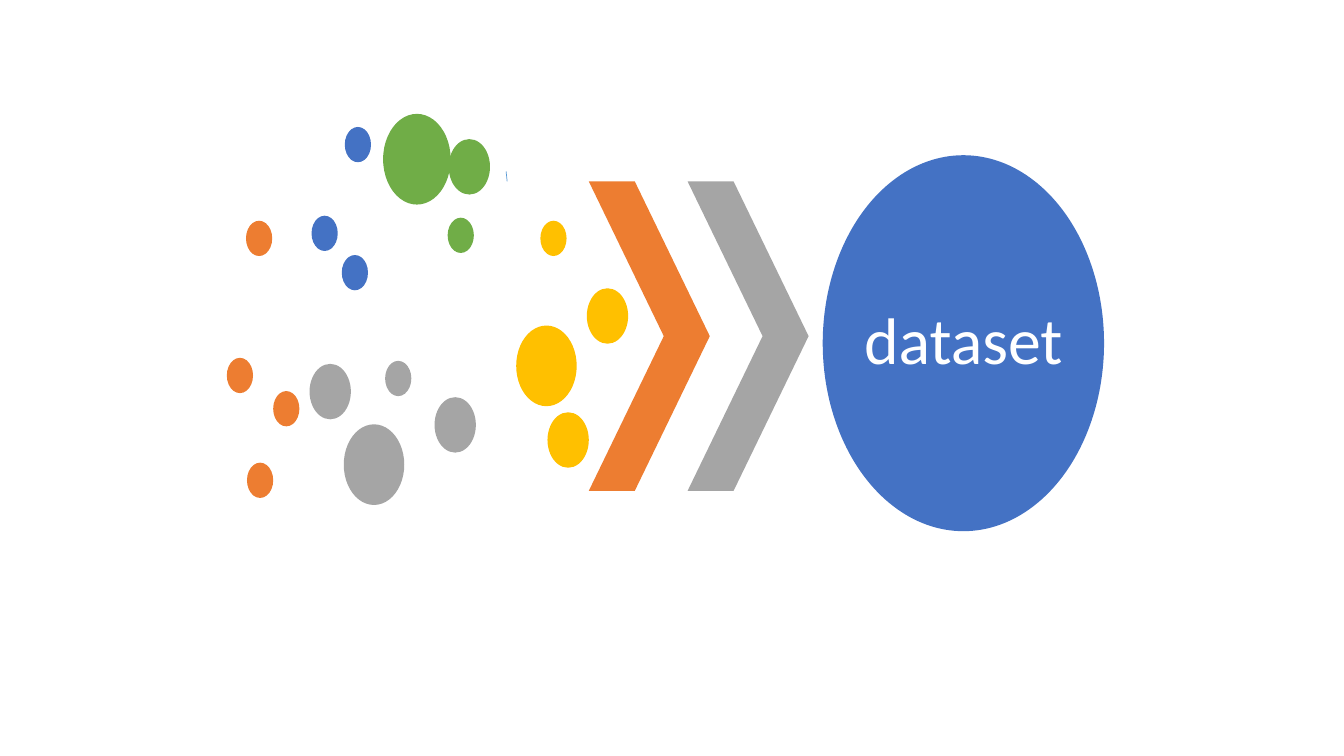
from dataclasses import dataclass

from lxml import etree
from pptx import Presentation
from pptx import util as u
from pptx.dml.color import RGBColor
from pptx.enum import shapes, text
from pptx.oxml import ns


@dataclass(frozen=True)
class Theme:
    orange: str = "ED7D31"
    gray: str = "A5A5A5"
    gold: str = "FFC000"
    blue: str = "4472C4"
    green: str = "70AD47"
    sky: str = "5B9BD5"
    white: str = "FFFFFF"
    font: str = "Calibri"
    label_size: int = 47


theme = Theme()
prs = Presentation()
prs.slide_width, prs.slide_height = u.Inches(13.33), u.Inches(7.5)
slide = prs.slides.add_slide(prs.slide_layouts[6])


def add_filled(preset, left, top, width, height, color):
    shape = slide.shapes.add_shape(preset, *map(u.Inches, (left, top, width, height)))
    shape.shadow.inherit = False
    shape.fill.solid()
    shape.fill.fore_color.rgb = RGBColor.from_string(color)
    shape.line.fill.background()
    return shape


# Scattered data points: left, top and size, grouped by colour
small, medium, large, largest = (0.26, 0.35), (0.41, 0.55), (0.6, 0.8), (0.67, 0.9)
data_points = {
    theme.orange: [(2.44, 2.19, small), (2.71, 3.88, small),
                   (2.25, 3.55, small), (2.45, 4.59, small)],
    theme.gray: [(3.82, 3.58, small), (4.31, 3.94, medium),
                 (3.07, 3.61, medium), (3.41, 4.21, large)],
    theme.gold: [(5.82, 2.86, medium), (5.36, 2.19, small),
                 (5.12, 3.23, large), (5.43, 4.09, medium)],
    theme.blue: [(3.42, 1.26, small), (3.09, 2.14, small), (3.39, 2.53, small)],
    theme.green: [(4.44, 2.16, small), (3.8, 1.13, largest), (4.45, 1.38, medium)],
}
for color, points in data_points.items():
    for left, top, size in points:
        add_filled(shapes.MSO_SHAPE.OVAL, left, top, *size, color)

# Chevrons leading to the dataset
for left, color in ((5.84, theme.orange), (6.82, theme.gray)):
    chevron = add_filled(shapes.MSO_SHAPE.CHEVRON, left, 1.8, 1.2, 3.07, color)
    chevron.adjustments[0] = 0.62

# Dataset
dataset = add_filled(shapes.MSO_SHAPE.OVAL, 8.16, 1.54, 2.79, 3.73, theme.blue)
frame = dataset.text_frame
frame.text = "dataset"
frame.word_wrap = True
frame.vertical_anchor = text.MSO_ANCHOR.MIDDLE
frame.margin_left = frame.margin_right = frame.margin_top = frame.margin_bottom = 0
label = frame.paragraphs[0]
label.alignment = text.PP_ALIGN.CENTER
label.line_spacing = 0.9
font = label.runs[0].font
font.name = theme.font
font.size = u.Pt(theme.label_size)
font.color.rgb = RGBColor.from_string(theme.white)

# Short stroke beside the green points
stroke = slide.shapes.add_connector(
    shapes.MSO_CONNECTOR.STRAIGHT, *map(u.Inches, (5.02, 1.7, 5.03, 1.8)))
stroke.line.color.rgb = RGBColor.from_string(theme.sky)
stroke.line.width = u.Pt(0.5)
etree.SubElement(stroke._element.spPr, ns.qn("a:effectLst"))

prs.save("out.pptx")
